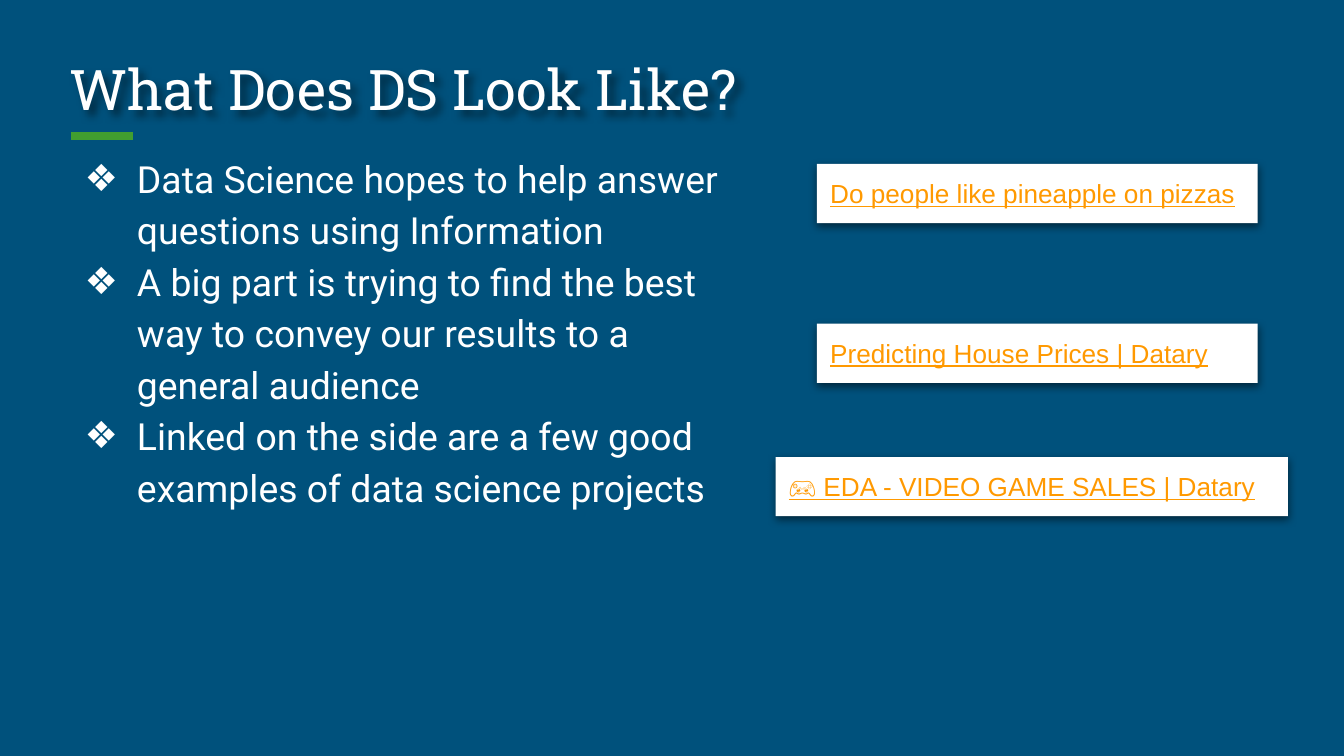
from dataclasses import dataclass

from lxml.etree import SubElement
from pptx import Presentation
from pptx.dml.color import RGBColor as RGB
from pptx.enum.shapes import MSO_CONNECTOR as CONN, MSO_SHAPE as SHAPE
from pptx.enum.text import MSO_ANCHOR as ANCHOR, MSO_AUTO_SIZE as AUTO, PP_ALIGN as ALIGN
from pptx.oxml.ns import qn
from pptx.util import Cm, Pt


@dataclass(frozen=True)
class Theme:
    background: str = "00517C"
    accent: str = "419E2F"
    light: str = "FFFFFF"
    link: str = "FF9900"
    shadow: str = "000000"
    title_font: str = "Roboto Slab"
    body_font: str = "Roboto"
    card_font: str = "Arial"
    title_size: int = 30
    body_size: int = 20
    card_size: int = 14


THEME = Theme()
BULLETS = [
    "Data Science hopes to help answer questions using Information",
    "A big part is trying to find the best way to convey our results to a general audience",
    "Linked on the side are a few good examples of data science projects",
]
# Text, left, top and width in centimetres
CARDS = [
    ("Do people like pineapple on pizzas", 15.44, 3.1, 8.33),
    ("Predicting House Prices | Datary", 15.44, 6.12, 8.33),
    ("🎮 EDA - VIDEO GAME SALES | Datary", 14.66, 8.64, 9.68),
]
CARD_HEIGHT = 1.12


def add_shadow(sp, distance, angle):
    sp.shadow.inherit = False
    effects = sp._element.spPr.find(qn("a:effectLst"))
    outer = SubElement(effects, qn("a:outerShdw"), blurRad=str(Pt(4.5)),
                       dist=str(Pt(distance)), dir=str(angle * 60000),
                       algn="bl", rotWithShape="0")
    color = SubElement(outer, qn("a:srgbClr"), val=THEME.shadow)
    SubElement(color, qn("a:alpha"), val="50000")


def prepare_frame(sp, anchor=ANCHOR.TOP):
    tf = sp.text_frame
    tf.word_wrap = True
    tf.vertical_anchor = anchor
    tf.margin_left = tf.margin_right = tf.margin_top = tf.margin_bottom = Cm(0.25)
    return tf


def style_paragraph(p, font, size, color, underline=None):
    p.alignment = ALIGN.LEFT
    for r in p.runs:
        r.font.name = font
        r.font.size = Pt(size)
        r.font.color.rgb = RGB.from_string(color)
        r.font.underline = underline


def add_bullet(p):
    pPr = p._p.get_or_add_pPr()
    pPr.set("marL", str(Cm(1.27)))
    pPr.set("indent", str(Cm(-0.99)))
    SubElement(SubElement(pPr, qn("a:buClr")), qn("a:srgbClr"), val=THEME.light)
    SubElement(pPr, qn("a:buFont"), typeface=THEME.body_font)
    SubElement(pPr, qn("a:buChar"), char="❖")


def add_title(slide, text):
    sp = slide.shapes.add_textbox(Cm(1.07), Cm(0.66), Cm(23.24), Cm(1.9))
    tf = prepare_frame(sp, ANCHOR.BOTTOM)
    tf.text = text
    style_paragraph(tf.paragraphs[0], THEME.title_font, THEME.title_size, THEME.light)
    add_shadow(sp, 3, 45)


def add_accent_line(slide):
    line = slide.shapes.add_connector(CONN.STRAIGHT, Cm(1.35), Cm(2.57), Cm(2.51), Cm(2.57))
    line.line.color.rgb = RGB.from_string(THEME.accent)
    line.line.width = Pt(4.5)
    SubElement(line._element.spPr, qn("a:effectLst"))


def add_bullet_list(slide, items):
    sp = slide.shapes.add_textbox(Cm(1.07), Cm(2.57), Cm(13), Cm(11.71))
    tf = prepare_frame(sp)
    tf.text = "\n".join(items)
    for p in tf.paragraphs:
        p.line_spacing = 1.15
        style_paragraph(p, THEME.body_font, THEME.body_size, THEME.light)
        add_bullet(p)


def add_card(slide, text, left, top, width):
    sp = slide.shapes.add_shape(SHAPE.RECTANGLE, Cm(left), Cm(top), Cm(width), Cm(CARD_HEIGHT))
    sp.fill.solid()
    sp.fill.fore_color.rgb = RGB.from_string(THEME.light)
    sp.line.fill.background()
    add_shadow(sp, 1.5, 90)
    tf = prepare_frame(sp)
    tf.auto_size = AUTO.SHAPE_TO_FIT_TEXT
    tf.text = text
    style_paragraph(tf.paragraphs[0], THEME.card_font, THEME.card_size, THEME.link, True)


def main():
    prs = Presentation()
    prs.slide_width, prs.slide_height = Cm(25.4), Cm(14.29)
    slide = prs.slides.add_slide(prs.slide_layouts[6])
    slide.background.fill.solid()
    slide.background.fill.fore_color.rgb = RGB.from_string(THEME.background)

    add_accent_line(slide)
    add_title(slide, "What Does DS Look Like?")
    add_bullet_list(slide, BULLETS)
    for card in CARDS:
        add_card(slide, *card)
    prs.save("out.pptx")


if __name__ == "__main__":
    main()
